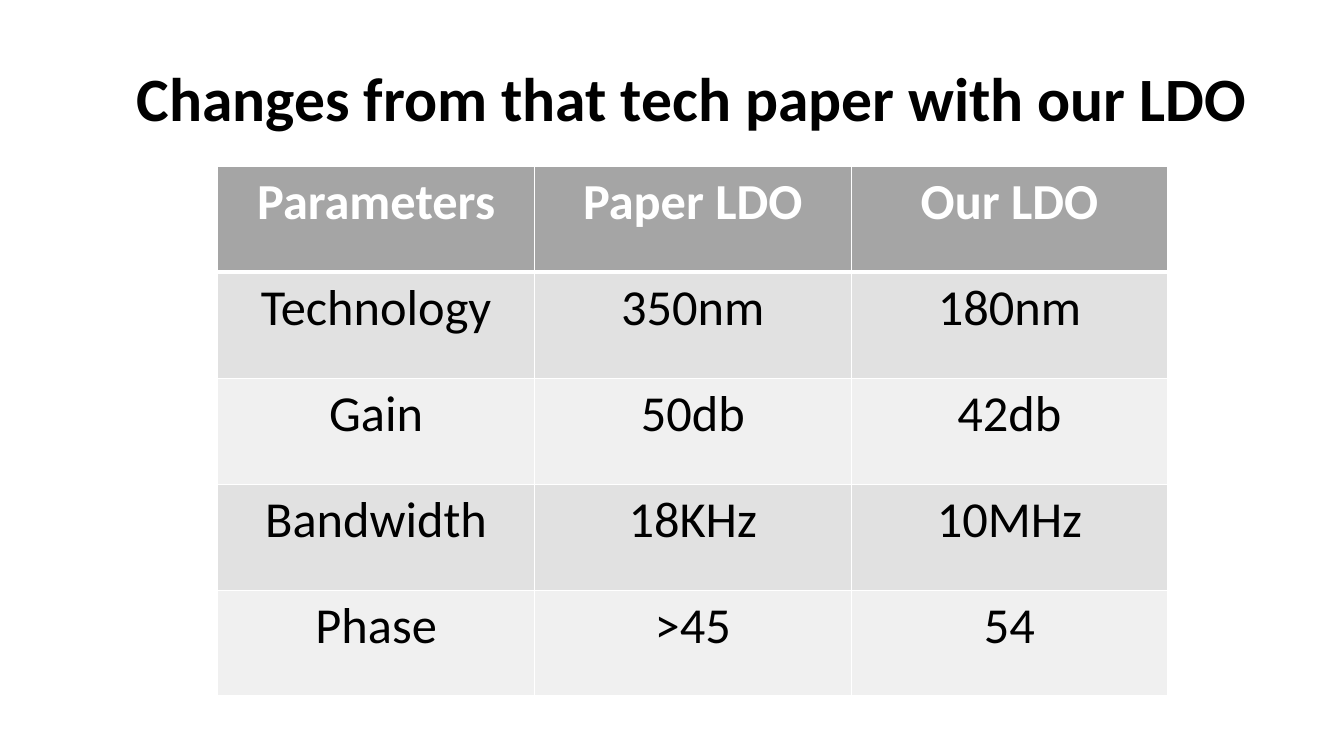
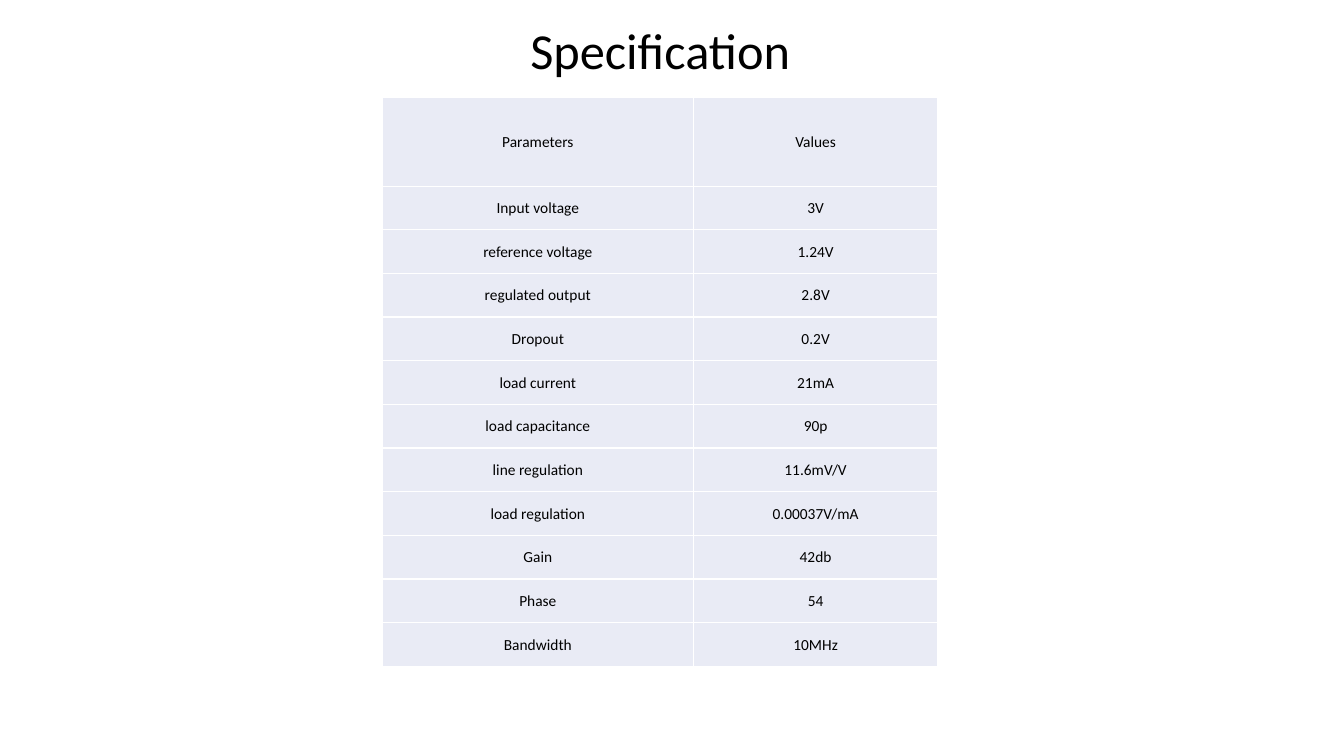
from lxml.etree import SubElement
from pptx import Presentation
from pptx.dml.color import RGBColor
from pptx.enum.text import MSO_ANCHOR, MSO_AUTO_SIZE, PP_ALIGN
from pptx.oxml.ns import qn
from pptx.util import Cm, Pt

FONT = "Calibri"
BLACK = RGBColor(0x00, 0x00, 0x00)
WHITE = RGBColor(0xFF, 0xFF, 0xFF)
HEADER_GREY = RGBColor(0xA5, 0xA5, 0xA5)
DARK_BAND = RGBColor(0xE1, 0xE1, 0xE1)
LIGHT_BAND = RGBColor(0xF0, 0xF0, 0xF0)
PALE_BLUE = RGBColor(0xE9, 0xEB, 0xF5)
TITLE_ONLY = 5

COMPARISON = [
    ("Parameters", "Paper LDO", "Our LDO"),
    ("Technology", "350nm", "180nm"),
    ("Gain", "50db", "42db"),
    ("Bandwidth", "18KHz", "10MHz"),
    ("Phase", ">45", "54"),
]
SPECIFICATION = [
    ("Parameters", "Values"),
    ("Input voltage", "3V"),
    ("reference voltage", "1.24V"),
    ("regulated output", "2.8V"),
    ("Dropout", "0.2V"),
    ("load current", "21mA"),
    ("load capacitance", "90p"),
    ("line regulation", "11.6mV/V"),
    ("load regulation", "0.00037V/mA"),
    ("Gain", "42db"),
    ("Phase", "54"),
    ("Bandwidth", "10MHz"),
]

SLIDES = [
    {
        "title": "Changes from that tech paper with our LDO",
        "title_box": (2.21, 1.39, 30.48, 2.13),
        "title_size": 44,
        "title_bold": True,
        "rows": COMPARISON,
        "corner": (5.49, 4.19),
        "widths": [7.98] * 3,
        "heights": [2.67] * 5,
        "size": 36,
        "header": (HEADER_GREY, WHITE, True),
        "bands": (DARK_BAND, LIGHT_BAND),
        "header_line": 3,
        "anchor": MSO_ANCHOR.TOP,
        "margins": (0.25, 0.13, 0.25, 0.13),
    },
    {
        "title": "Specification",
        "title_box": (12.64, 0.36, 8, 1.8),
        "title_size": 36,
        "title_bold": False,
        "rows": SPECIFICATION,
        "corner": (9.63, 2.45),
        "widths": [7.85, 6.15],
        "heights": [2.24] + [1.1] * 11,
        "size": 11,
        "header": (PALE_BLUE, BLACK, False),
        "bands": (PALE_BLUE, PALE_BLUE),
        "header_line": 1,
        "anchor": MSO_ANCHOR.MIDDLE,
        "margins": (0.02, 0.02, 0.02, 0),
    },
]


def write_text(text_frame, text, size, color, bold):
    paragraph = text_frame.paragraphs[0]
    paragraph.alignment = PP_ALIGN.CENTER
    run = paragraph.add_run()
    run.text = text
    run.font.name = FONT
    run.font.size = Pt(size)
    run.font.bold = bold
    run.font.color.rgb = color


def draw_borders(cell, top, bottom):
    properties = cell._tc.get_or_add_tcPr()
    sides = (("L", 1), ("R", 1), ("T", top), ("B", bottom))
    for position, (side, width) in enumerate(sides):
        line = SubElement(properties, qn("a:ln" + side), w=str(Pt(width)))
        fill = SubElement(line, qn("a:solidFill"))
        SubElement(fill, qn("a:srgbClr"), val=str(WHITE))
        properties.insert(position, line)


presentation = Presentation()
presentation.slide_width = Cm(33.87)
presentation.slide_height = Cm(19.05)

for content in SLIDES:
    slide = presentation.slides.add_slide(presentation.slide_layouts[TITLE_ONLY])

    title = slide.shapes.title
    title.left, title.top, title.width, title.height = map(Cm, content["title_box"])
    title.text_frame.word_wrap = True
    title.text_frame.auto_size = MSO_AUTO_SIZE.NONE
    title.text_frame.vertical_anchor = MSO_ANCHOR.TOP
    write_text(title.text_frame, content["title"], content["title_size"], BLACK, content["title_bold"])

    rows, widths, heights = content["rows"], content["widths"], content["heights"]
    left, top = content["corner"]
    table = slide.shapes.add_table(
        len(rows), len(widths), Cm(left), Cm(top), Cm(sum(widths)), Cm(sum(heights))
    ).table
    for column, width in zip(table.columns, widths):
        column.width = Cm(width)

    for row_index, values in enumerate(rows):
        table.rows[row_index].height = Cm(heights[row_index])
        fill_color, text_color, bold = content["bands"][(row_index - 1) % 2], BLACK, False
        if row_index == 0:
            fill_color, text_color, bold = content["header"]
        top_line = content["header_line"] if row_index == 1 else 1
        bottom_line = content["header_line"] if row_index == 0 else 1
        for column_index, value in enumerate(values):
            cell = table.cell(row_index, column_index)
            cell.fill.solid()
            cell.fill.fore_color.rgb = fill_color
            cell.vertical_anchor = content["anchor"]
            cell.margin_left, cell.margin_top, cell.margin_right, cell.margin_bottom = map(
                Cm, content["margins"]
            )
            write_text(cell.text_frame, value, content["size"], text_color, bold)
            draw_borders(cell, top_line, bottom_line)

presentation.save("out.pptx")
